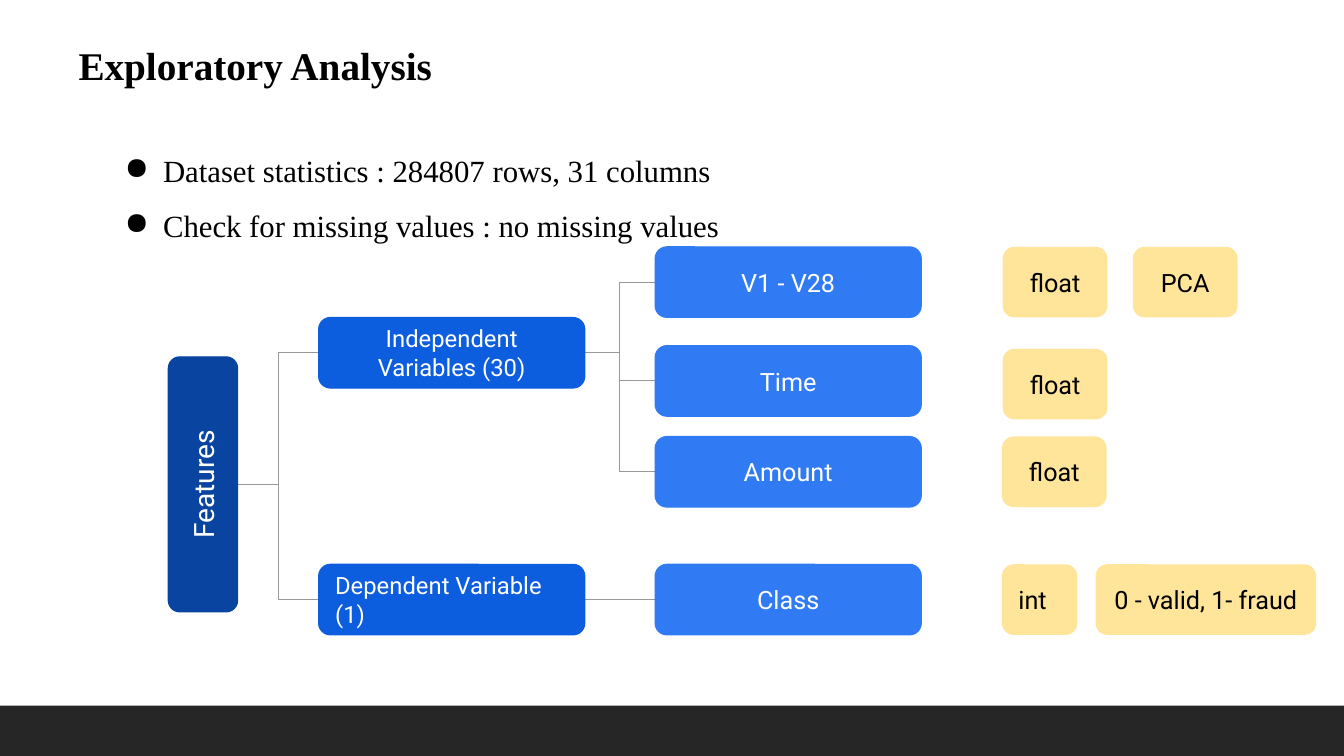
from dataclasses import dataclass

from lxml.etree import SubElement
from pptx import Presentation
from pptx.dml.color import RGBColor
from pptx.enum.shapes import MSO_CONNECTOR, MSO_SHAPE
from pptx.enum.text import MSO_ANCHOR, PP_ALIGN
from pptx.oxml.ns import qn
from pptx.shapes.autoshape import Shape
from pptx.slide import Slide
from pptx.text.text import TextFrame
from pptx.util import Cm, Pt

HUES = {
    "bar": "262626", "root": "0944A1", "group": "0D5DDF", "leaf": "307BF3",
    "tag": "FFE599", "line": "999999", "dark": "000000", "light": "FFFFFF",
}
SERIF, SANS = "Times New Roman", "Roboto"
HIGH = 1.78
WIDE = 6.71


@dataclass
class Box:
    """A rounded box of the feature tree, in centimetres."""
    text: str
    hue: str
    left: float
    top: float
    width: float = WIDE
    height: float = HIGH
    size: float = 18
    align: PP_ALIGN = PP_ALIGN.CENTER
    turn: int = 0

    @property
    def mid(self) -> float:
        return self.top + self.height / 2

    @property
    def right(self) -> float:
        """Right edge as seen, also for a box turned on its side."""
        half = (self.height if self.turn else self.width) / 2
        return self.left + self.width / 2 + half


ROOT = Box("Features", "root", 1.9, 11.33, 6.43, 1.75, size=20, turn=270)
FREE = Box("Independent Variables (30)", "group", 8.03, 8, size=17)
BOUND = Box("Dependent Variable (1)", "group", 8.03, 14.22, size=17,
            align=PP_ALIGN.LEFT)
TOPS = {"V1 - V28": 6.22, "Time": 8.71, "Amount": 11, "Class": 14.22}
LEAVES = [Box(name, "leaf", 16.51, top) for name, top in TOPS.items()]
TAGS = [
    Box("float", "tag", 25.27, 6.22, 2.64),
    Box("float", "tag", 25.27, 8.79, 2.64),
    Box("float", "tag", 25.25, 11, 2.64),
    Box("int", "tag", 25.25, 14.22, 1.9, align=PP_ALIGN.LEFT),
    Box("PCA", "tag", 28.55, 6.22, 2.64),
    Box("0 - valid, 1- fraud", "tag", 27.61, 14.22, 5.56),
]
LINKS = [(ROOT, FREE), (ROOT, BOUND), (BOUND, LEAVES[-1])]
LINKS += [(FREE, leaf) for leaf in LEAVES[:-1]]


def color(name: str) -> RGBColor:
    return RGBColor.from_string(HUES[name])


def write(frame: TextFrame, *lines: str, font: str = SANS, size: float = 18,
          hue: str = "dark", bold: bool = False, inset: float = 0.25,
          align: PP_ALIGN = PP_ALIGN.LEFT, space: float = 1,
          anchor: MSO_ANCHOR = MSO_ANCHOR.TOP, dots: bool = False) -> None:
    frame.word_wrap = True
    frame.vertical_anchor = anchor
    frame.margin_left = frame.margin_right = Cm(inset)
    frame.margin_top = frame.margin_bottom = Cm(inset)
    for i, line in enumerate(lines):
        para = frame.add_paragraph() if i else frame.paragraphs[0]
        para.alignment = align
        para.line_spacing = space
        run = para.add_run()
        run.text = line
        run.font.name = font
        run.font.size = Pt(size)
        run.font.bold = bold
        run.font.color.rgb = color(hue)
        if dots:
            props = para._p.get_or_add_pPr()
            props.set("marL", str(Cm(1.27)))
            props.set("indent", str(Cm(-0.97)))
            SubElement(props, qn("a:buChar"), char="●")


def label(slide: Slide, left: float, top: float, width: float,
          height: float) -> TextFrame:
    """Add a text box and return its frame."""
    return slide.shapes.add_textbox(
        Cm(left), Cm(top), Cm(width), Cm(height)).text_frame


def block(slide: Slide, kind: MSO_SHAPE, hue: str, left: float, top: float,
          width: float, height: float) -> Shape:
    """Add a filled shape without outline or shadow."""
    shape = slide.shapes.add_shape(
        kind, Cm(left), Cm(top), Cm(width), Cm(height))
    shape.shadow.inherit = False
    shape.fill.solid()
    shape.fill.fore_color.rgb = color(hue)
    shape.line.fill.background()
    return shape


def draw(slide: Slide, box: Box) -> None:
    shape = block(slide, MSO_SHAPE.ROUNDED_RECTANGLE, box.hue,
                  box.left, box.top, box.width, box.height)
    shape.rotation = box.turn
    tag = box.hue == "tag"
    if not tag:
        shape.line.color.rgb = color(box.hue)
        shape.line.width = Pt(0.75)
    write(shape.text_frame, box.text, size=box.size, align=box.align,
          hue="dark" if tag else "light", inset=0.33,
          anchor=MSO_ANCHOR.MIDDLE)


def link(slide: Slide, start: Box, end: Box) -> None:
    wire = slide.shapes.add_connector(
        MSO_CONNECTOR.ELBOW, Cm(start.right), Cm(start.mid),
        Cm(end.left), Cm(end.mid))
    wire.line.color.rgb = color("line")
    wire.line.width = Pt(0.75)
    SubElement(wire._element.spPr, qn("a:effectLst"))


def main() -> None:
    deck = Presentation()
    deck.slide_width, deck.slide_height = Cm(33.87), Cm(19.05)
    slide = deck.slides.add_slide(deck.slide_layouts[6])
    block(slide, MSO_SHAPE.RECTANGLE, "bar", 0, 17.78, 33.87, 1.27)
    write(label(slide, 1.73, 0.79, 10.85, 2.51), "Exploratory Analysis",
          font=SERIF, size=28, bold=True)
    write(label(slide, 2.59, 3.1, 16.64, 2.51),
          "Dataset statistics : 284807 rows, 31 columns",
          "Check for missing values : no missing values",
          font=SERIF, size=22, space=1.5, dots=True)
    for start, end in LINKS:
        link(slide, start, end)
    for box in [ROOT, FREE, BOUND, *LEAVES, *TAGS]:
        draw(slide, box)
    deck.save("out.pptx")


if __name__ == "__main__":
    main()
